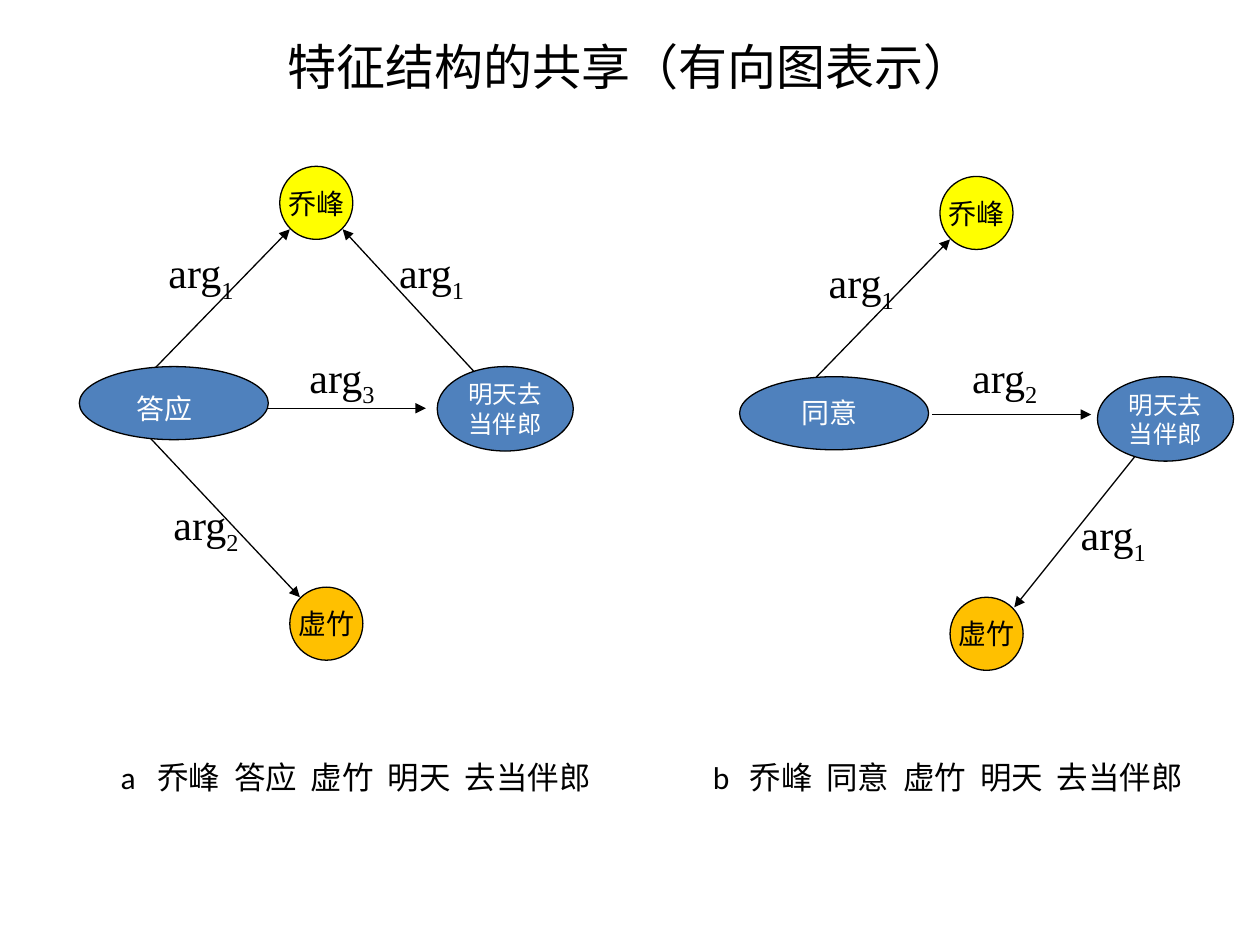
from lxml import etree
from pptx import Presentation, util as u
from pptx.dml import color
from pptx.enum import shapes, text
from pptx.oxml import ns

BLACK, WHITE, BLUE, YELLOW, ORANGE = "000000", "FFFFFF", "4F81BD", "FFFF00", "FFC000"
SANS, SERIF = "Calibri", "Times New Roman"
CIRCLE = (0.58, 0.58)


def rgb(value):
    return color.RGBColor.from_string(value)


def inches(*values):
    return [u.Inches(v) for v in values]


def add_run(p, content, size, font, fill=BLACK):
    r = p.add_run()
    r.text = content
    r.font.size, r.font.name = u.Pt(size), font
    r.font.color.rgb = rgb(fill)
    return r


def add_title(s, content):
    sp = s.shapes.title
    sp.left, sp.top, sp.width, sp.height = inches(0, 0.21, 10, 0.63)
    sp.text_frame.vertical_anchor = text.MSO_ANCHOR.MIDDLE
    p = sp.text_frame.paragraphs[0]
    p.alignment = text.PP_ALIGN.CENTER
    add_run(p, content, 28, SANS)


def add_box(s, x, y, w, h, before, align=text.PP_ALIGN.CENTER):
    """Text box that grows with its text; returns its paragraph."""
    tf = s.shapes.add_textbox(*inches(x, y, w, h)).text_frame
    tf.word_wrap = True
    tf.auto_size = text.MSO_AUTO_SIZE.SHAPE_TO_FIT_TEXT
    p = tf.paragraphs[0]
    p.alignment, p.space_before = align, u.Pt(before)
    return p


def add_node(s, x, y, size, fill, lines=(), pt=16, ink=BLACK):
    sp = s.shapes.add_shape(shapes.MSO_SHAPE.OVAL, *inches(x, y, *size))
    sp.shadow.inherit = False
    sp.fill.solid()
    sp.fill.fore_color.rgb = rgb(fill)
    sp.line.color.rgb = rgb(BLACK)
    sp.line.width = u.Pt(0.75)
    tf = sp.text_frame
    tf.word_wrap = False
    tf.vertical_anchor = text.MSO_ANCHOR.MIDDLE
    for i, line in enumerate(lines):
        p = tf.add_paragraph() if i else tf.paragraphs[0]
        p.alignment = text.PP_ALIGN.CENTER
        add_run(p, line, pt, SANS, ink)


def add_arrow(s, x1, y1, x2, y2):
    c = s.shapes.add_connector(shapes.MSO_CONNECTOR.STRAIGHT, *inches(x1, y1, x2, y2))
    c.line.color.rgb = rgb(BLACK)
    c.line.width = u.Pt(0.75)
    etree.SubElement(c.line._get_or_add_ln(), ns.qn("a:tailEnd"), type="triangle")
    etree.SubElement(c._element.spPr, ns.qn("a:effectLst"))


def add_label(s, x, y, w, index):
    p = add_box(s, x, y, w, 0.56, 15)
    add_run(p, "arg", 24, SERIF)
    r = add_run(p, index, 24, SERIF)
    r.font._element.set("baseline", "-25000")


def add_graph(s, left, top, verb, verb_at, links):
    """Directed graph; all positions are relative to its top left corner."""
    for (x1, y1), (x2, y2), _ in links:
        add_arrow(s, left + x1, top + y1, left + x2, top + y2)
    # Nodes
    add_node(s, left + 1.59, top, CIRCLE, YELLOW, ["乔峰"])
    add_node(s, left + 1.67, top + 3.34, CIRCLE, ORANGE, ["虚竹"])
    add_node(s, left, top + 1.59, (1.5, 0.58), BLUE)
    add_node(s, left + 2.84, top + 1.59, (1.08, 0.67), BLUE,
             ["明天去", "当伴郎"], 14, WHITE)
    p = add_box(s, left + verb_at[0], top + verb_at[1], 1.67, 0.37, 10)
    add_run(p, verb, 16, SERIF, WHITE)
    # Argument labels
    for _, _, (x, y, w, index) in links:
        add_label(s, left + x, top + y, w, index)


def add_captions(s, sentences):
    """Sentences side by side, their words aligned on tab stops."""
    p = add_box(s, 0.86, 5.97, 8.78, 0.4, 11.2, text.PP_ALIGN.LEFT)
    tabs = etree.SubElement(p._p.get_or_add_pPr(), ns.qn("a:tabLst"))
    for i, words in enumerate(sentences):
        stops = [0] + [0.29 + 0.61 * k for k in range(len(words) - 1)]
        for stop in stops if i else stops[1:]:
            etree.SubElement(tabs, ns.qn("a:tab"),
                             pos=str(u.Inches(4.7 * i + stop)), algn="l")
    add_run(p, "\t".join(word for words in sentences for word in words), 18, SANS)


def main():
    prs = Presentation()
    prs.slide_width, prs.slide_height = inches(10, 7.5)
    s = prs.slides.add_slide(prs.slide_layouts[5])
    add_title(s, "特征结构的共享（有向图表示）")

    # Each link: start, end, label (x, y, width, index)
    to_subject = ((0.34, 1.87), (1.67, 0.5), (0.59, 0.59, 0.75, "1"))
    add_graph(s, 0.63, 1.32, "答应", (-0.16, 1.74), [
        to_subject,
        ((0.34, 1.92), (1.75, 3.42), (0.59, 2.59, 0.83, "2")),
        ((1.25, 1.92), (2.75, 1.92), (1.67, 1.42, 0.83, "3")),
        ((3.17, 1.67), (2.09, 0.5), (2.42, 0.59, 0.75, "1")),
    ])
    add_graph(s, 5.87, 1.4, "同意", (-0.12, 1.69), [
        to_subject,
        ((1.53, 1.89), (2.79, 1.89), (1.69, 1.34, 0.83, "2")),
        ((3.18, 2.17), (2.18, 3.42), (2.59, 2.59, 0.75, "1")),
    ])
    add_captions(s, [
        ["a", "乔峰", "答应", "虚竹", "明天", "去当伴郎"],
        ["b", "乔峰", "同意", "虚竹", "明天", "去当伴郎"],
    ])
    prs.save("out.pptx")


if __name__ == "__main__":
    main()
